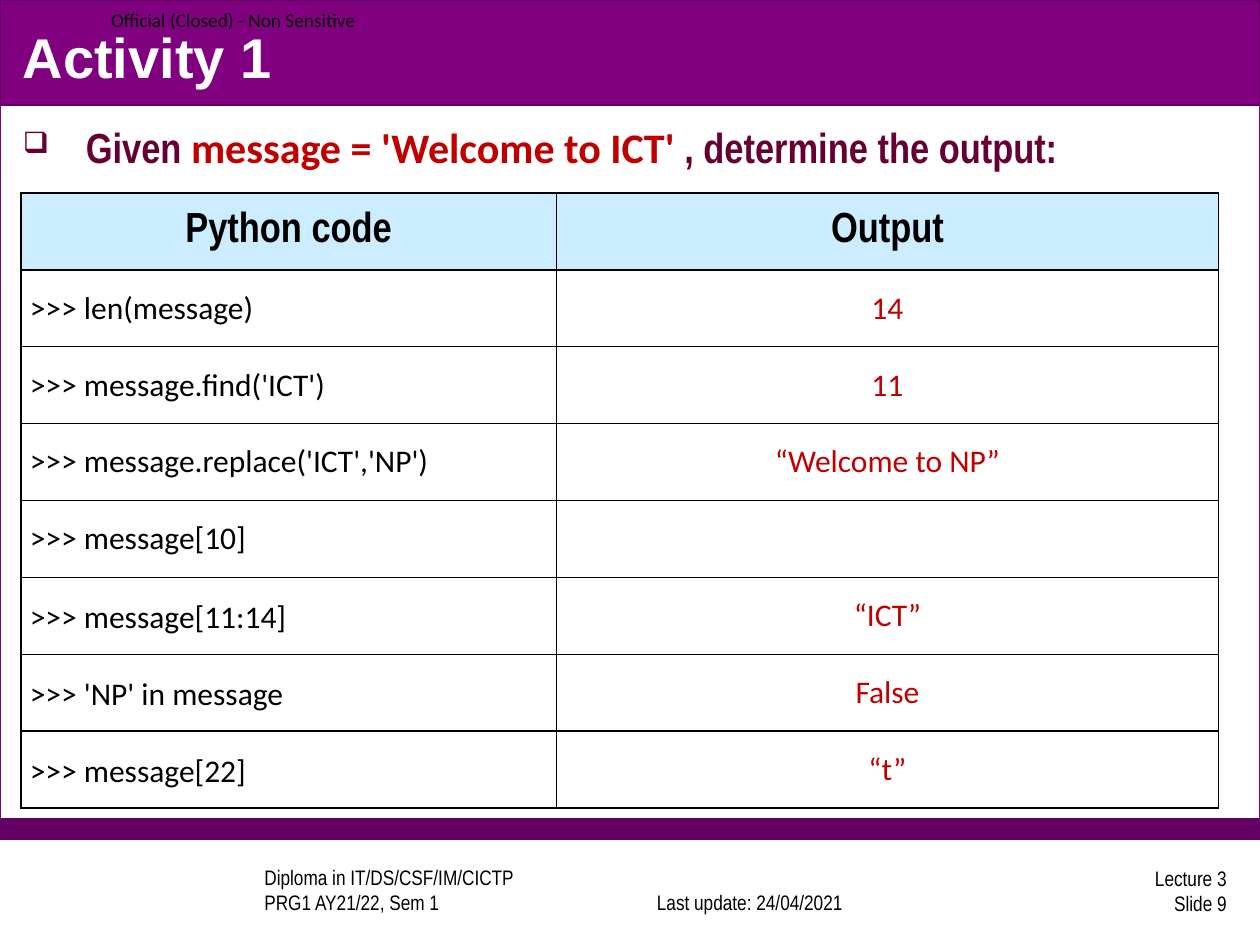
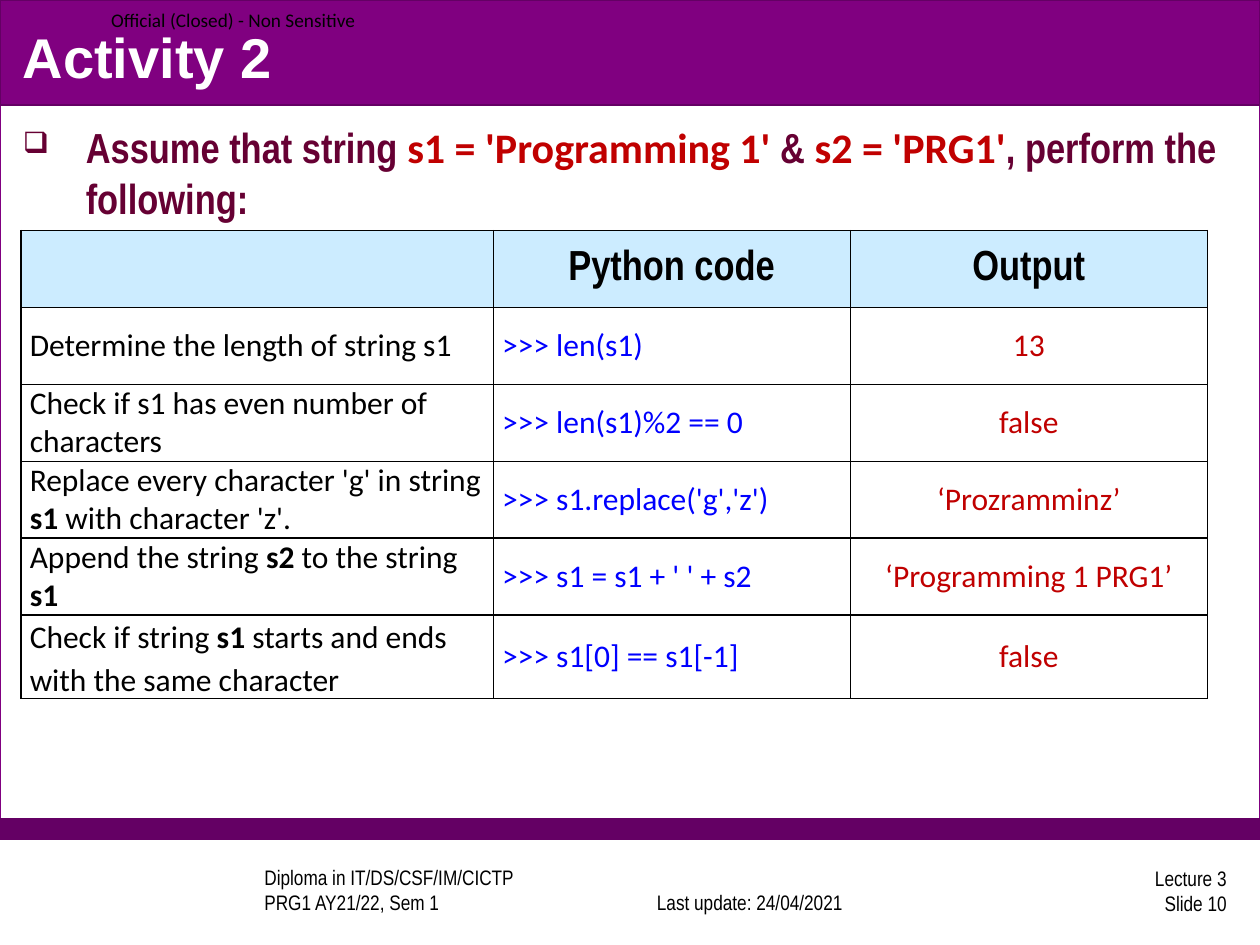
from lxml import etree
from pptx import Presentation
from pptx.dml.color import RGBColor
from pptx.enum.shapes import MSO_SHAPE
from pptx.enum.text import MSO_ANCHOR, PP_ALIGN
from pptx.oxml.ns import qn
from pptx.util import Cm, Pt

RECT = MSO_SHAPE.RECTANGLE
TOP, MID, LOW = MSO_ANCHOR.TOP, MSO_ANCHOR.MIDDLE, MSO_ANCHOR.BOTTOM
LEFT, MIDDLE, RIGHT = PP_ALIGN.LEFT, PP_ALIGN.CENTER, PP_ALIGN.RIGHT

COLORS = {
    "white": "FFFFFF", "black": "000000", "band": "800080",
    "dark": "640064", "plum": "660033", "red": "C00000",
    "blue": "0000FF", "head": "CCECFF",
}
WIDE = 25.4
ROW = 1.55    # table row height
THIN, THICK = 0.5, 1


def color(name):
    return RGBColor.from_string(COLORS[name])


def style(font, size, tint, bold=False):
    return {"font": font, "size": size, "tint": tint, "bold": bold}


TITLE = style("Arial", 32, "white", True)
TASK = style("Arial Narrow", 24, "plum", True)
VALUE = style("Calibri", 24, "red", True)
HEAD = style("Arial Narrow", 24, "black", True)
FOOT = style("Arial Narrow", 12, "black")
LABEL = style("Calibri", 11, "black")
BODY = style("Calibri", 18, "black")
STRONG = style("Calibri", 18, "black", True)
CODE = style("Calibri", 18, "blue")
RESULT = style("Calibri", 18, "red")


def write(frame, text, plain, mark=None, align=LEFT):
    """Fill a frame; the parts between asterisks take the mark style."""
    lines = text.split("\n")
    for num, line in enumerate(lines):
        para = frame.add_paragraph() if num else frame.paragraphs[0]
        para.alignment = align
        parts = line.split("*") if mark else [line]
        for pos, part in enumerate(parts):
            if not part:
                continue
            look = mark if pos % 2 else plain
            run = para.add_run()
            run.text = part
            run.font.name = look["font"]
            run.font.size = Pt(look["size"])
            run.font.bold = look["bold"]
            run.font.color.rgb = color(look["tint"])


def add_band(slide, top, high, fill, line):
    band = slide.shapes.add_shape(RECT, 0, Cm(top), Cm(WIDE), Cm(high))
    band.shadow.inherit = False
    band.fill.solid()
    band.fill.fore_color.rgb = color(fill)
    band.line.color.rgb = color(line)
    band.line.width = Pt(0.75)


def add_text(slide, area, text, look, mark=None, align=LEFT, anchor=MID):
    frame = slide.shapes.add_textbox(*map(Cm, area)).text_frame
    frame.word_wrap = True
    frame.vertical_anchor = anchor
    write(frame, text, look, mark, align)
    return frame


def add_task(slide, text):
    frame = add_text(slide, (0.21, 2.33, 24.97, 1.59), text,
                     TASK, VALUE, anchor=TOP)
    props = frame.paragraphs[0]._p.get_or_add_pPr()
    props.set("marL", str(Cm(1.27)))
    props.set("indent", str(-Cm(1.27)))
    etree.SubElement(props, qn("a:buSzPct")).set("val", "70000")
    etree.SubElement(props, qn("a:buChar")).set("char", "❑")


def add_edge(cell, side, width):
    line = etree.SubElement(cell._tc.get_or_add_tcPr(), qn("a:ln" + side))
    line.set("w", str(Pt(width)))
    fill = etree.SubElement(line, qn("a:solidFill"))
    etree.SubElement(fill, qn("a:srgbClr")).set("val", COLORS["black"])


def add_grid(slide, top, cols, rows, looks, loose, end):
    """Draw a table; first-column rows from loose on are spaced wider."""
    frame = slide.shapes.add_table(len(rows), len(cols), Cm(0.42), Cm(top),
                                   Cm(sum(cols)), Cm(ROW * len(rows)))
    grid = frame.table
    grid.first_row = grid.horz_banding = False
    for col, width in zip(grid.columns, cols):
        col.width = Cm(width)
    for r, row in enumerate(rows):
        grid.rows[r].height = Cm(ROW)
        for c, text in enumerate(row):
            cell = grid.cell(r, c)
            # Borders come before the fill
            add_edge(cell, "L", THIN if c else THICK)
            add_edge(cell, "R", end if c == len(cols) - 1 else THIN)
            add_edge(cell, "T", THICK)
            add_edge(cell, "B", end if r == len(rows) - 1 else THICK)
            cell.fill.solid()
            cell.fill.fore_color.rgb = color("white" if r else "head")
            cell.vertical_anchor = MID
            cell.margin_left = cell.margin_right = Cm(0.18)
            cell.margin_top = cell.margin_bottom = 0
            last = c == len(cols) - 1
            align = LEFT if r and not last else MIDDLE
            look = looks[c] if r else HEAD
            write(cell.text_frame, text, look, STRONG, align)
            if c == 0 and r >= loose:
                cell.text_frame.paragraphs[0].line_spacing = 1.1


def add_page(deck, title, task, num):
    slide = deck.slides.add_slide(deck.slide_layouts[6])
    # Frame and bands
    add_band(slide, 0, 16.93, "white", "band")
    add_band(slide, 16.51, 0.42, "dark", "dark")
    add_band(slide, 0, 2.12, "band", "dark")
    # Footer
    add_text(slide, (5.08, 17.5, 6.78, 1.06),
             "Diploma in IT/DS/CSF/IM/CICTP\nPRG1 AY21/22, Sem 1",
             FOOT, anchor=LOW)
    add_text(slide, (12.47, 17.5, 5.29, 1.06), "Last update: 24/04/2021",
             FOOT, align=MIDDLE, anchor=LOW)
    add_text(slide, (19.69, 17.43, 5.29, 1.06), f"Lecture 3\nSlide {num}",
             FOOT, align=RIGHT)
    # Label, title and task
    label = add_text(slide, (2.24, 0, 5.4, 0.79),
                     "Official (Closed) - Non Sensitive", LABEL)
    label.margin_left = label.margin_right = 0
    label.margin_top = label.margin_bottom = 0
    add_text(slide, (0.21, 0.33, 24.97, 1.59), title, TITLE)
    add_task(slide, task)
    return slide


def main():
    deck = Presentation()
    deck.slide_width, deck.slide_height = Cm(WIDE), Cm(19.05)

    # Activity 1
    slide = add_page(deck, "Activity 1",
                     "Given *message = 'Welcome to ICT' *"
                     ", determine the output:", 9)
    rows = [
        ("Python code", "Output"),
        (">>> len(message)", "14"),
        (">>> message.find('ICT')", "11"),
        (">>> message.replace('ICT','NP')", "“Welcome to NP”"),
        (">>> message[10]", ""),
        (">>> message[11:14]", "“ICT”"),
        (">>> 'NP' in message", "False"),
        (">>> message[22]", "“t”"),
    ]
    add_grid(slide, 3.89, (10.8, 13.34), rows, (BODY, RESULT), 5, THICK)

    # Activity 2
    slide = add_page(deck, "Activity 2",
                     "Assume that string *s1 = 'Programming 1' *& "
                     "*s2 = 'PRG1'*, perform the following:", 10)
    rows = [
        ("", "Python code", "Output"),
        ("Determine the length of string s1", ">>> len(s1)", "13"),
        ("Check if s1 has even number of characters",
         ">>> len(s1)%2 == 0", "false"),
        ("Replace every character 'g' in string *s1* with character 'z'.",
         ">>> s1.replace('g','z')", "‘Prozramminz’"),
        ("Append the string *s2* to the string *s1*",
         ">>> s1 = s1 + ' ' + s2", "‘Programming 1 PRG1’"),
        ("Check if string *s1* starts and ends with the same character",
         ">>> s1[0] == s1[-1]", "false"),
    ]
    add_grid(slide, 4.65, (9.52, 7.2, 7.2), rows, (BODY, CODE, RESULT),
             5, THIN)

    deck.save("out.pptx")


if __name__ == "__main__":
    main()
